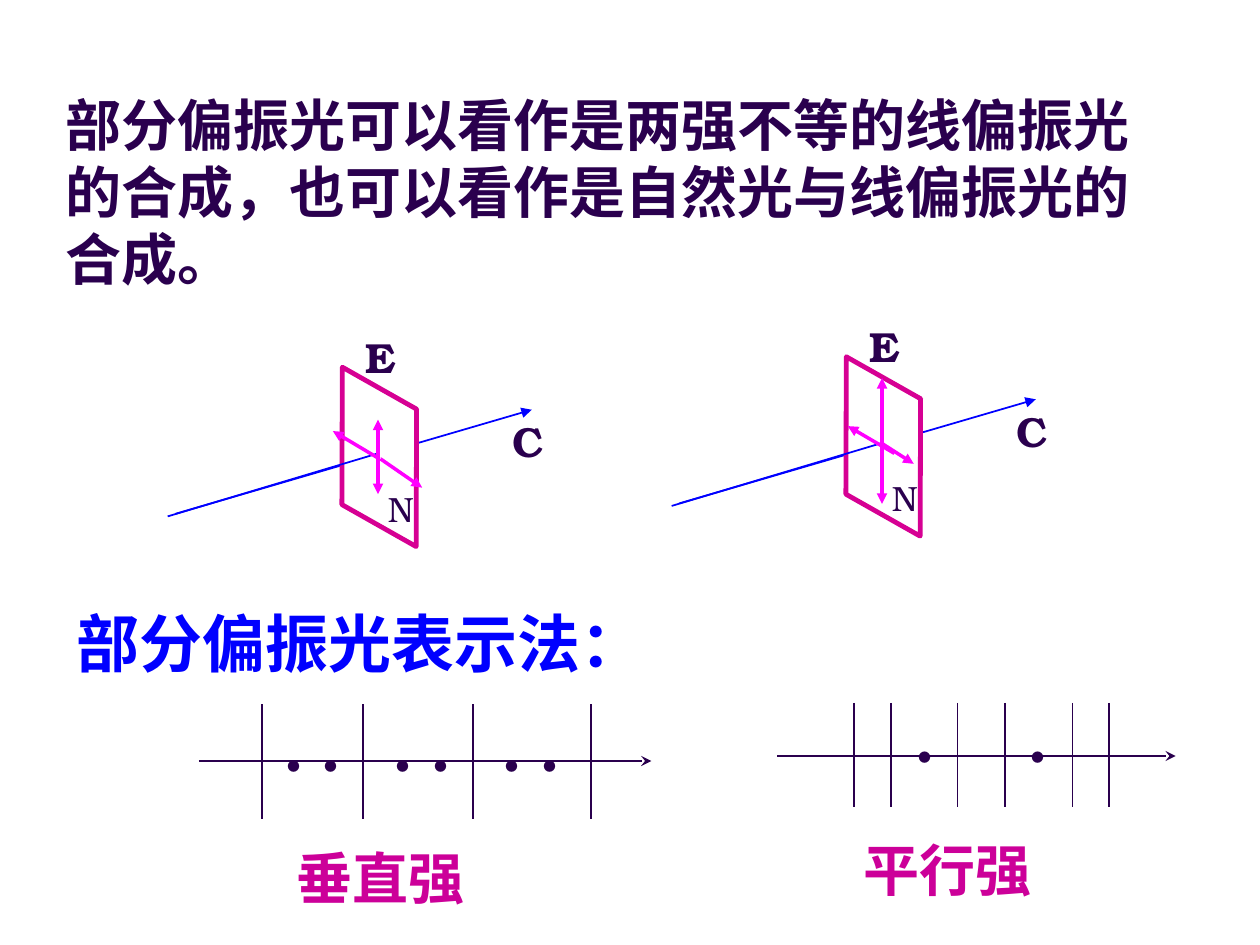
from lxml import etree
from pptx import Presentation
from pptx import util as u
from pptx.dml.color import RGBColor
from pptx.enum import shapes, text
from pptx.oxml.ns import qn

COLOURS = {
    "ink": "2A004E",
    "blue": "0000FF",
    "plane": "D60093",
    "field": "FF00FF",
    "caption": "CC0099",
    "white": "FFFFFF",
}
SERIF = "TeX Gyre Bonum"
CHINESE = "Noto Sans CJK SC"


def rgb(name):
    return RGBColor.from_string(COLOURS[name])


class SlideBuilder:
    def __init__(self, slide):
        self.slide = slide

    def label(self, box, content, size, colour="ink", font=SERIF, bold=True, wrap=False):
        shape = self.slide.shapes.add_textbox(*map(u.Cm, box))
        frame = shape.text_frame
        frame.word_wrap = wrap
        frame.auto_size = text.MSO_AUTO_SIZE.NONE
        run = frame.paragraphs[0].add_run()
        run.text = content
        run.font.size = u.Pt(size)
        run.font.bold = bold
        run.font.name = font
        run.font.color.rgb = rgb(colour)
        east_asian = etree.SubElement(run.font._element, qn("a:ea"))
        east_asian.set("typeface", CHINESE)

    def line(self, start, end, colour="ink", width=1, head=None):
        """Draw a straight line; head names the arrowhead at its end."""
        connector = self.slide.shapes.add_connector(
            shapes.MSO_CONNECTOR.STRAIGHT, *map(u.Cm, (*start, *end)))
        connector.line.color.rgb = rgb(colour)
        connector.line.width = u.Pt(width)
        if head:
            tail_end = etree.SubElement(connector.line._get_or_add_ln(), qn("a:tailEnd"))
            tail_end.set("type", head)
        etree.SubElement(connector._element.spPr, qn("a:effectLst"))

    def plane(self, box):
        shape = self.slide.shapes.add_shape(
            shapes.MSO_SHAPE.PARALLELOGRAM, *map(u.Cm, box))
        shape.shadow.inherit = False
        shape.rotation = 90.2
        shape.adjustments[0] = 0.56
        shape.fill.solid()
        shape.fill.fore_color.rgb = rgb("white")
        shape.line.color.rgb = rgb("plane")
        shape.line.width = u.Pt(2.75)

    def wave(self, dx, dy, field_arrows):
        """Draw a ray crossing a plane, with its field arrows, moved by (dx, dy)."""
        def moved(x, y, *size):
            return (x + dx, y + dy, *size)

        self.line(moved(3.53, 10.36), moved(10.72, 8.26), "blue", head="triangle")
        self.plane(moved(5.84, 8.46, 3.61, 1.5))
        self.line(moved(3.38, 10.41), moved(7.62, 9.14), "blue")
        self.label(moved(7.11, 6.55, 1.22, 1.27), "E", 24, wrap=True)
        self.label(moved(10.08, 8.26, 1.12, 1.27), "C", 24)
        self.label(moved(7.57, 9.7, 1.02, 1.12), "N", 20, bold=False)
        for start, end in field_arrows:
            self.line(moved(*start), moved(*end), "field", 2, "triangle")

    def notation(self, axis, axis_y, ticks, tick_span, dots, dot_top):
        """Draw a ray with strokes and dots for the two field directions."""
        for x in ticks:
            self.line((x, tick_span[0]), (x, tick_span[1]))
        for x in dots:
            self.label((x, dot_top, 0.94, 1.78), ".", 36)
        self.line((axis[0], axis_y), (axis[1], axis_y), head="stealth")


def main():
    presentation = Presentation()
    presentation.slide_width = u.Cm(25.4)
    presentation.slide_height = u.Cm(19.05)
    slide = presentation.slides.add_slide(presentation.slide_layouts[6])
    builder = SlideBuilder(slide)

    builder.label((1.07, 1.7, 23.06, 4.32),
                  "部分偏振光可以看作是两强不等的线偏振光的合成，也可以看作是自然光与线偏振光的合成。",
                  32, font=CHINESE, wrap=True)
    builder.label((1.3, 12.07, 11.94, 1.78), "部分偏振光表示法：", 36, "blue")

    builder.wave(0, 0, [
        ((7.62, 9.53), (7.62, 8.46)),
        ((7.62, 8.89), (7.62, 9.96)),
        ((7.67, 9.25), (8.51, 9.83)),
        ((7.65, 9.25), (6.71, 8.69)),
    ])
    builder.wave(10.16, -0.21, [
        ((7.62, 9.3), (7.62, 7.83)),
        ((7.62, 9.3), (7.62, 10.37)),
        ((7.62, 9.15), (8.26, 9.56)),
        ((7.87, 9.35), (6.93, 8.8)),
    ])

    dot_pairs = [5.46 + 2.2 * pair + 0.76 * dot for pair in range(3) for dot in range(2)]
    builder.notation((4.01, 13.13), 15.34, (5.28, 7.32, 9.53, 11.91), (14.2, 16.51),
                     dot_pairs, 14.15)
    builder.notation((15.67, 23.7), 15.24, (17.22, 17.96, 19.3, 20.26, 21.62, 22.35),
                     (14.17, 16.26), (18.19, 20.47), 13.97)

    builder.label((5.72, 16.87, 3.89, 1.63), "垂直强", 32, "caption")
    builder.label((17.15, 16.71, 3.89, 1.63), "平行强", 32, "caption")
    presentation.save("out.pptx")


if __name__ == "__main__":
    main()
